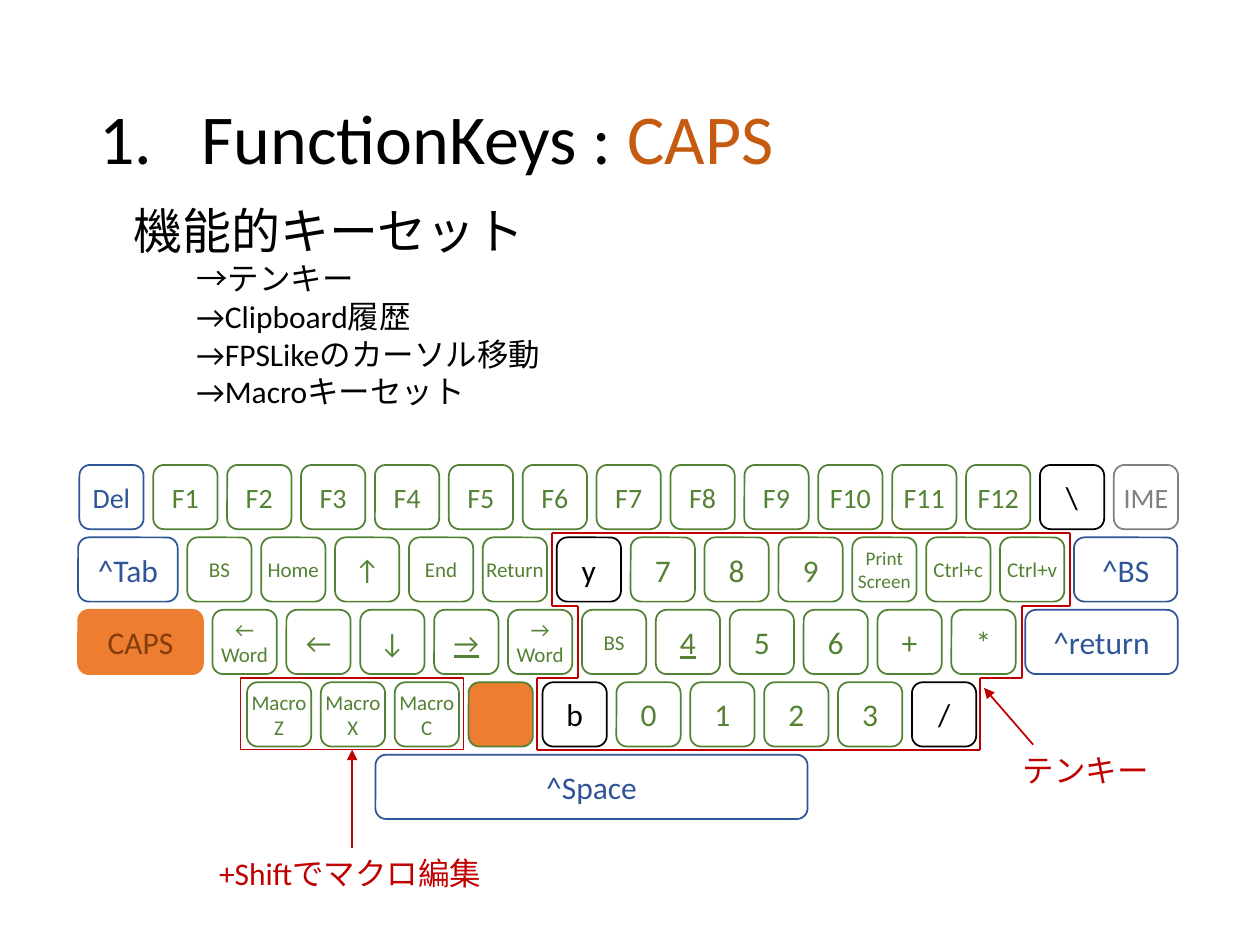
from itertools import pairwise

from lxml.etree import SubElement
from pptx import Presentation
from pptx.dml.color import RGBColor
from pptx.enum.shapes import MSO_CONNECTOR, MSO_SHAPE
from pptx.enum.text import MSO_ANCHOR, MSO_AUTO_SIZE, PP_ALIGN
from pptx.oxml.ns import qn
from pptx.util import Inches, Pt

COLORS = {
    "black": "000000",
    "white": "FFFFFF",
    "blue": "2F5597",
    "green": "548235",
    "gray": "808080",
    "orange": "ED7D31",
    "rust": "C55A11",
    "brown": "843C0B",
    "red": "C00000",
}
FONT = "Calibri"
KEY = 0.51
KEY_PITCH = 8.21 / 14
ROW_PITCH = 2.3 / 4
GAP = KEY_PITCH - KEY


def rgb(name):
    return RGBColor.from_string(COLORS[name])


def style_run(run, size, color):
    run.font.name = FONT
    run.font.size = Pt(size)
    run.font.color.rgb = rgb(color)


def indent(paragraph, left, first=0):
    properties = paragraph._p.get_or_add_pPr()
    properties.set("marL", str(Inches(left)))
    properties.set("indent", str(Inches(first)))
    return properties


def set_title(slide, left, top, width, height):
    title = slide.shapes.title
    title.left, title.top = Inches(left), Inches(top)
    title.width, title.height = Inches(width), Inches(height)
    frame = title.text_frame
    frame.auto_size = MSO_AUTO_SIZE.NONE
    frame.vertical_anchor = MSO_ANCHOR.MIDDLE
    heading = frame.paragraphs[0]
    heading.text = "FunctionKeys : "
    heading.alignment = PP_ALIGN.LEFT
    heading.line_spacing = 0.9
    style_run(heading.runs[0], 40, "black")
    mode = heading.add_run()
    mode.text = "CAPS"
    style_run(mode, 40, "rust")
    numbering = SubElement(indent(heading, 0.81, -0.81), qn("a:buAutoNum"))
    numbering.set("type", "arabicPeriod")


def add_label(slide, left, top, width, height, text, color="red", wrap=True):
    label = slide.shapes.add_textbox(
        Inches(left), Inches(top), Inches(width), Inches(height))
    frame = label.text_frame
    frame.word_wrap = wrap
    frame.auto_size = MSO_AUTO_SIZE.SHAPE_TO_FIT_TEXT
    frame.text = text
    for paragraph in frame.paragraphs:
        style_run(paragraph.runs[0], 18, color)
    return label


def add_features(slide, left, top, width, height):
    features = add_label(
        slide, left, top, width, height,
        "機能的キーセット\n→テンキー\n→Clipboard履歴\n"
        "→FPSLikeのカーソル移動\n→Macroキーセット", "black")
    summary, *details = features.text_frame.paragraphs
    summary.level = 2
    indent(summary, 0)
    summary.runs[0].font.size = Pt(28)
    for detail in details:
        detail.level = 3
        indent(detail, 0.5)


def key(label, size=18, color="green", width=KEY, fill="white",
        line=None, underline=None):
    return dict(label=label, size=size, color=color, width=width,
                fill=fill, line=line or color, underline=underline)


def add_key(slide, left, top, cap):
    button = slide.shapes.add_shape(
        MSO_SHAPE.ROUNDED_RECTANGLE,
        Inches(left), Inches(top), Inches(cap["width"]), Inches(KEY))
    button.shadow.inherit = False
    button.fill.solid()
    button.fill.fore_color.rgb = rgb(cap["fill"])
    button.line.color.rgb = rgb(cap["line"])
    button.line.width = Pt(1)
    if not cap["label"]:
        return
    frame = button.text_frame
    frame.word_wrap = False
    frame.vertical_anchor = MSO_ANCHOR.MIDDLE
    frame.text = cap["label"]
    for paragraph in frame.paragraphs:
        paragraph.alignment = PP_ALIGN.CENTER
        style_run(paragraph.runs[0], cap["size"], cap["color"])
        paragraph.runs[0].font.underline = cap["underline"]


def add_keyboard(slide, top):
    rows = [
        (0.63, [key("Del", 16, "blue"),
                *[key(f"F{number}", 16) for number in range(1, 13)],
                key("\\", color="black"), key("IME", 16, "gray")]),
        (0.62, [key("^Tab", color="blue", width=0.79),
                key("BS", 12), key("Home", 12), key("↑", 16),
                key("End", 12), key("Return", 12), key("y", color="black"),
                *[key(digit) for digit in "789"],
                key("Print\nScreen", 11), key("Ctrl+c", 12), key("Ctrl+v", 12),
                key("^BS", color="blue", width=0.82)]),
        (0.62, [key("CAPS", color="brown", width=0.99,
                    fill="orange", line="orange"),
                key("←\nWord", 12), key("←", 16), key("↓", 16),
                key("→", 16, underline=True), key("→\nWord", 12),
                key("BS", 12), key("4", underline=True),
                *[key(symbol) for symbol in "56+*"],
                key("^return", color="blue", width=1.21)]),
        (1.96, [*[key(f"Macro\n{letter}", 12) for letter in "ZXC"],
                key("", fill="orange"), key("b", color="black"),
                *[key(digit) for digit in "0123"], key("/", color="black")]),
        (2.98, [key("^Space", color="blue", width=3.43)]),
    ]
    for index, (left, caps) in enumerate(rows):
        for cap in caps:
            add_key(slide, left, top + index * ROW_PITCH, cap)
            left += cap["width"] + GAP


def add_line(shapes, start, end, arrow=False):
    line = shapes.add_connector(
        MSO_CONNECTOR.STRAIGHT, *map(Inches, (*start, *end)))
    line.line.color.rgb = rgb("red")
    line.line.width = Pt(1)
    if arrow:
        SubElement(line.line._get_or_add_ln(), qn("a:tailEnd")).set("type", "triangle")
    SubElement(line._element.spPr, qn("a:effectLst"))
    return line


def add_numpad_callout(slide):
    corners = [
        (4.38, 4.23), (8.49, 4.23), (8.49, 4.81), (8.11, 4.81),
        (8.11, 5.38), (7.78, 5.38), (7.78, 5.95), (4.26, 5.95),
        (4.26, 5.38), (4.59, 5.38), (4.59, 4.81), (4.38, 4.81),
    ]
    outline = slide.shapes.add_group_shape()
    for start, end in pairwise(corners + corners[:1]):
        add_line(outline.shapes, start, end)
    add_label(slide, 8.02, 5.91, 1.21, 0.4, "テンキー", wrap=False)
    add_line(slide.shapes, (8.2, 5.91), (7.81, 5.46), arrow=True)


def add_macro_callout(slide, left, top, width, height):
    macro_frame = slide.shapes.add_shape(
        MSO_SHAPE.RECTANGLE,
        Inches(left), Inches(top), Inches(width), Inches(height))
    macro_frame.shadow.inherit = False
    macro_frame.fill.background()
    macro_frame.line.color.rgb = rgb("red")
    macro_frame.line.width = Pt(1)
    macro_label = add_label(slide, 1.64, 6.73, 2.31, 0.4, "+Shiftでマクロ編集")
    pointer = add_line(slide.shapes, (2.79, 6.73), (2.79, 5.95), arrow=True)
    pointer.begin_connect(macro_label, 0)
    pointer.end_connect(macro_frame, 2)


def main():
    presentation = Presentation()
    presentation.slide_width = Inches(10)
    presentation.slide_height = Inches(7.5)
    slide = presentation.slides.add_slide(presentation.slide_layouts[5])
    set_title(slide, 0.69, 0.4, 8.62, 1.45)
    add_features(slide, 0.96, 1.54, 3.48, 1.78)
    add_keyboard(slide, 3.69)
    add_numpad_callout(slide)
    add_macro_callout(slide, 1.91, 5.38, 1.77, 0.57)
    presentation.save("out.pptx")


if __name__ == "__main__":
    main()
